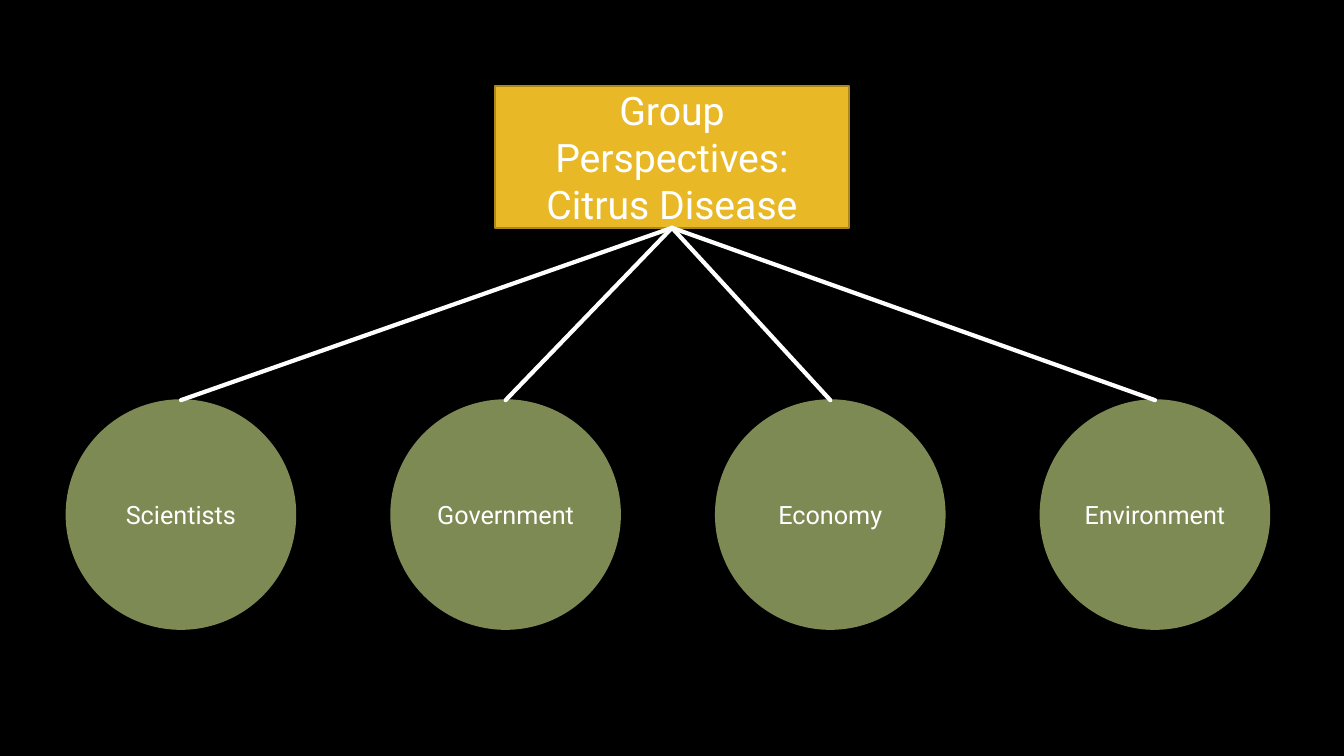
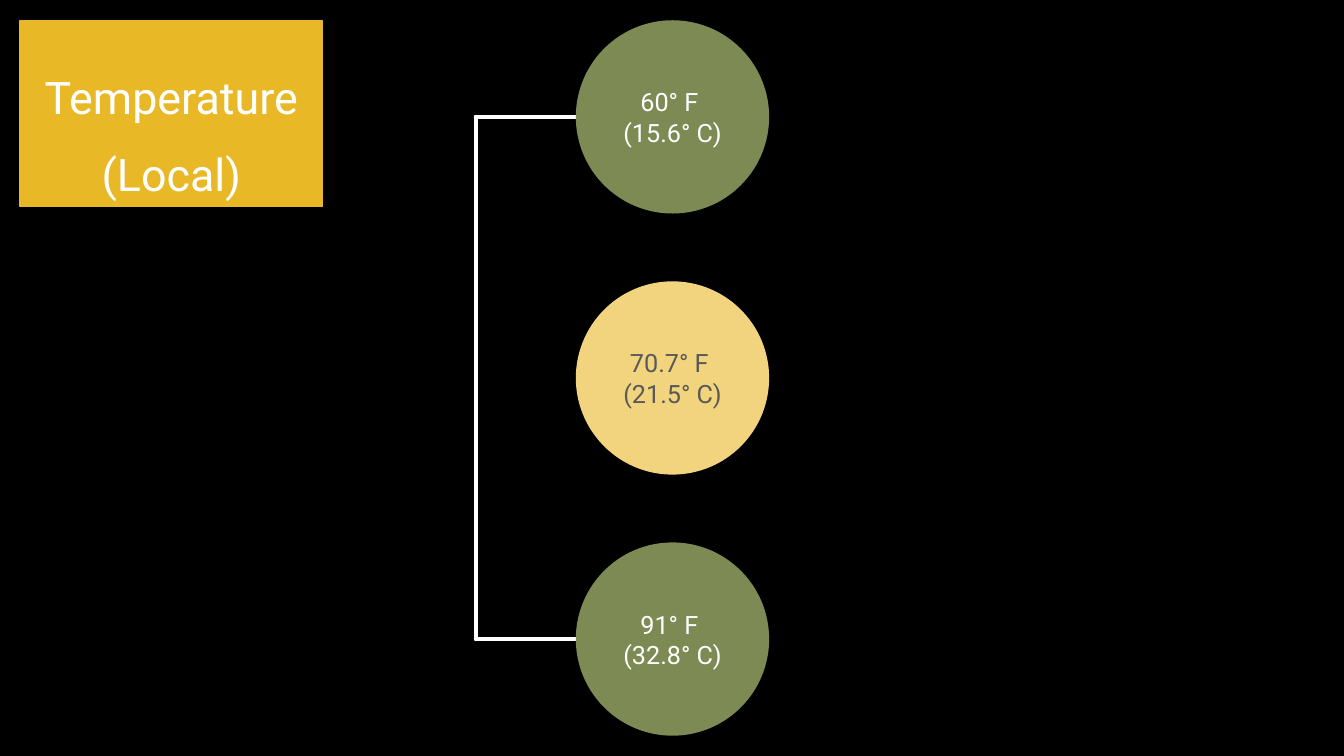
from dataclasses import dataclass

from pptx import Presentation
from pptx import util as u
from pptx.dml.color import RGBColor
from pptx.enum import shapes, text
from pptx.oxml import xmlchemy
from pptx.oxml.ns import qn
from pptx.shapes.autoshape import Shape
from pptx.shapes.connector import Connector
from pptx.slide import Slide
from lxml import etree

FONT = "Roboto"
COLORS = {
    "background": "000000",
    "gold": "E8B826",
    "gold_edge": "AC881C",
    "pale_gold": "F1D47D",
    "olive": "7D8A53",
    "white": "FFFFFF",
    "gray": "595959",
}
RECTANGLE = shapes.MSO_SHAPE.RECTANGLE
OVAL = shapes.MSO_SHAPE.OVAL


@dataclass(frozen=True)
class Node:
    lines: tuple[str, ...]
    left: float
    top: float
    width: float
    height: float
    size: int = 18
    fill: str = "olive"
    edge: str = "olive"
    ink: str = "white"
    kind: shapes.MSO_SHAPE = OVAL


def color(name: str) -> RGBColor:
    return RGBColor.from_string(COLORS[name])


def add_node(slide: Slide, node: Node) -> Shape:
    shape = slide.shapes.add_shape(
        node.kind,
        u.Inches(node.left),
        u.Inches(node.top),
        u.Inches(node.width),
        u.Inches(node.height),
    )
    shape.shadow.inherit = False
    shape.fill.solid()
    shape.fill.fore_color.rgb = color(node.fill)
    shape.line.color.rgb = color(node.edge)
    shape.line.width = u.Pt(1.25)
    frame = shape.text_frame
    frame.word_wrap = True
    frame.vertical_anchor = text.MSO_ANCHOR.MIDDLE
    for index, line in enumerate(node.lines):
        paragraph = frame.add_paragraph() if index else frame.paragraphs[0]
        paragraph.alignment = text.PP_ALIGN.CENTER
        run = paragraph.add_run()
        run.text = line
        run.font.name = FONT
        run.font.size = u.Pt(node.size)
        run.font.color.rgb = color(node.ink)
    return shape


def add_line(slide: Slide, x1: float, y1: float, x2: float, y2: float) -> Connector:
    connector = slide.shapes.add_connector(
        shapes.MSO_CONNECTOR.STRAIGHT,
        u.Inches(x1), u.Inches(y1), u.Inches(x2), u.Inches(y2),
    )
    connector.line.color.rgb = color("white")
    connector.line.width = u.Pt(3)
    properties = connector._element.spPr
    properties.find(qn("a:ln")).set("cap", "rnd")
    etree.SubElement(properties, qn("a:effectLst"))
    return connector


def add_perspectives(slide: Slide) -> None:
    topic = add_node(slide, Node(
        ("Group Perspectives:", "Citrus Disease"), 4.91, 0.85, 3.51, 1.41,
        size=28, fill="gold", edge="gold_edge", kind=RECTANGLE,
    ))
    left, top, diameter, pitch = 0.66, 3.97, 2.27, 3.22
    groups = ("Scientists", "Government", "Economy", "Environment")
    for index, group in enumerate(groups):
        circle = add_node(slide, Node(
            (group,), left + index * pitch, top, diameter, diameter,
        ))
        connector = add_line(slide, 0, 0, 1, 1)
        connector.begin_connect(topic, 2)
        connector.end_connect(circle, 0)


def add_temperatures(slide: Slide) -> None:
    for label, top, height in (("Temperature", 0.21, 1.5), ("(Local)", 1.39, 0.66)):
        add_node(slide, Node(
            (label,), 0.2, top, 3, height,
            size=32, fill="gold", edge="gold", kind=RECTANGLE,
        ))
    left, top, diameter, pitch = 5.72, 0.21, 1.9, 2.59
    spine = left - 1
    first = top + diameter / 2
    last = first + 2 * pitch
    add_line(slide, spine, first, spine, last)
    for middle in (first, last):
        add_line(slide, left, middle, spine, middle)
    readings = (
        (("60° F ", "(15.6° C)"), "olive", "white"),
        (("70.7° F ", "(21.5° C)"), "pale_gold", "gray"),
        (("91° F ", "(32.8° C)"), "olive", "white"),
    )
    for index, (lines, fill, ink) in enumerate(readings):
        add_node(slide, Node(
            lines, left, top + index * pitch, diameter, diameter,
            fill=fill, edge=fill, ink=ink,
        ))


def main() -> None:
    presentation = Presentation()
    presentation.slide_width = u.Inches(13.33)
    presentation.slide_height = u.Inches(7.5)
    background = presentation.slide_master.background.fill
    background.solid()
    background.fore_color.rgb = color("background")
    blank = presentation.slide_layouts[6]
    for build in (add_perspectives, add_temperatures):
        build(presentation.slides.add_slide(blank))
    presentation.save("out.pptx")


if __name__ == "__main__":
    main()
